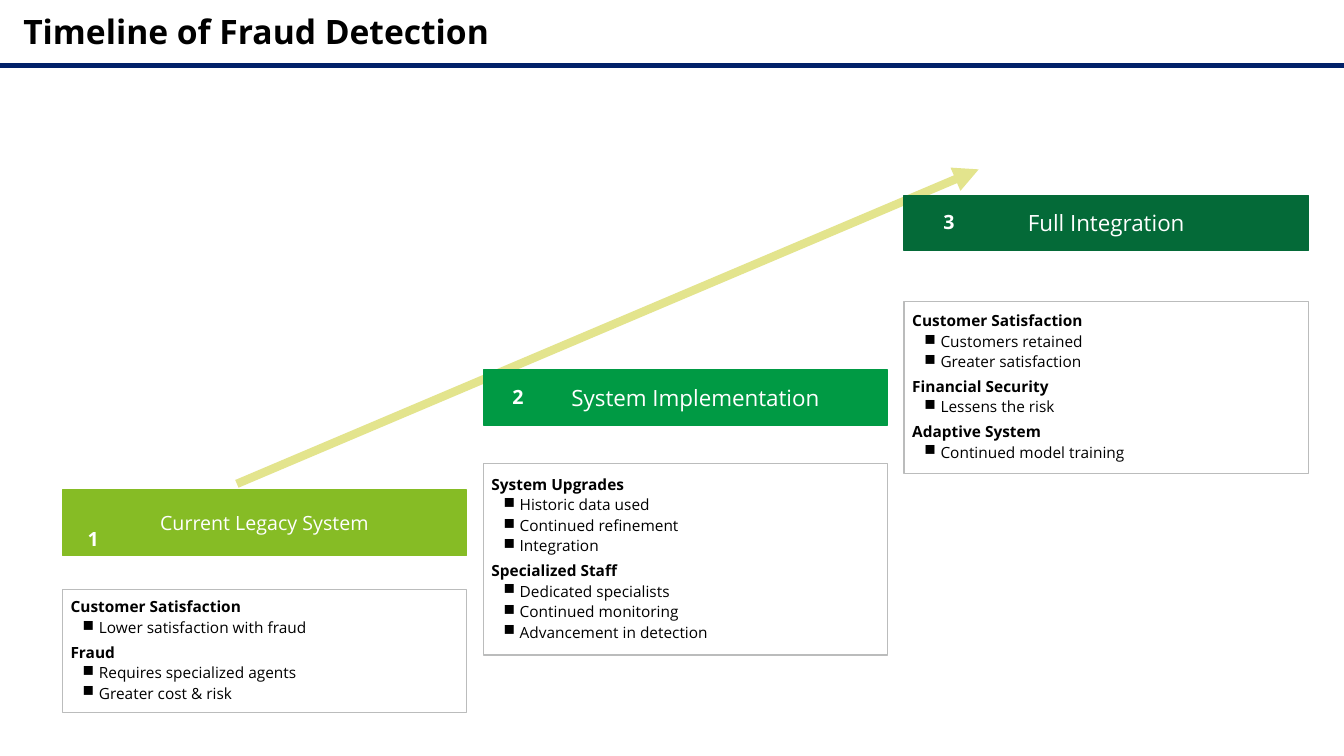
"""Build the fraud detection timeline slide."""
from dataclasses import dataclass

from lxml.etree import SubElement
from pptx import Presentation
from pptx.dml.color import RGBColor
from pptx.enum.shapes import MSO_CONNECTOR, MSO_SHAPE
from pptx.enum.text import MSO_ANCHOR, MSO_AUTO_SIZE, PP_ALIGN
from pptx.oxml.ns import qn
from pptx.shapes.autoshape import Shape
from pptx.shapes.connector import Connector
from pptx.slide import Slide
from pptx.text.text import TextFrame, _Paragraph
from pptx.util import Pt

FONT = "Open Sans"
BLACK = RGBColor(0x00, 0x00, 0x00)
WHITE = RGBColor(0xFF, 0xFF, 0xFF)
GREY = RGBColor(0xBB, 0xBC, 0xBC)
NAVY = RGBColor(0x01, 0x21, 0x69)
PALE_YELLOW = RGBColor(0xE3, 0xE4, 0x8D)
LIGHT_GREEN = RGBColor(0x86, 0xBC, 0x25)
GREEN = RGBColor(0x00, 0x9A, 0x44)
DARK_GREEN = RGBColor(0x04, 0x6A, 0x38)

SLIDE_WIDTH, SLIDE_HEIGHT = 960, 540
STAGE_LEFT, STAGE_STEP, STAGE_WIDTH = 44.6, 300.6, 288.7
NUMBER_WIDTH, NUMBER_HEIGHT = 43.9, 46.8


@dataclass(frozen=True)
class Topic:
    heading: str
    points: tuple[str, ...]


@dataclass(frozen=True)
class Stage:
    name: str
    color: RGBColor
    name_size: float
    name_inset: float
    header_top: float
    header_height: float
    number_offset: float
    number_top: float
    details_top: float
    details_height: float
    topics: tuple[Topic, ...]


STAGES = (
    Stage("Current Legacy System", LIGHT_GREEN, 14, 2.9, 349.9, 46.8, 0, 361.4, 421.2, 87.8, (
        Topic("Customer Satisfaction", ("Lower satisfaction with fraud",)),
        Topic("Fraud", ("Requires specialized agents", "Greater cost & risk")),
    )),
    Stage("System Implementation", GREEN, 16, 17.3, 264.2, 39.5, 2.9, 259.9, 331.2, 136.8, (
        Topic("System Upgrades", ("Historic data used", "Continued refinement", "Integration")),
        Topic("Specialized Staff",
              ("Dedicated specialists", "Continued monitoring", "Advancement in detection")),
    )),
    Stage("Full Integration", DARK_GREEN, 16, 2.9, 139.5, 39.5, 10.1, 134.6, 215.3, 123.1, (
        Topic("Customer Satisfaction", ("Customers retained", "Greater satisfaction")),
        Topic("Financial Security", ("Lessens the risk",)),
        Topic("Adaptive System", ("Continued model training",)),
    )),
)


def prepare_frame(text_frame: TextFrame, left: float, right: float, vertical: float,
                  anchor: MSO_ANCHOR = MSO_ANCHOR.MIDDLE) -> None:
    """Set wrapping, anchor and insets of a text frame."""
    text_frame.word_wrap = True
    text_frame.auto_size = MSO_AUTO_SIZE.NONE
    text_frame.vertical_anchor = anchor
    text_frame.margin_left, text_frame.margin_right = Pt(left), Pt(right)
    text_frame.margin_top = text_frame.margin_bottom = Pt(vertical)


def write(paragraph: _Paragraph, text: str, size: float, color: RGBColor,
          bold: bool = False, alignment: PP_ALIGN = PP_ALIGN.LEFT) -> None:
    """Fill a paragraph with text in one format."""
    paragraph.text = text
    paragraph.alignment = alignment
    for run in paragraph.runs:
        run.font.name = FONT
        run.font.size = Pt(size)
        run.font.bold = bold
        run.font.color.rgb = color


def add_bullet(paragraph: _Paragraph) -> None:
    """Give a paragraph a square bullet with a hanging indent."""
    properties = paragraph._p.get_or_add_pPr()
    properties.set("marL", str(Pt(20.2)))
    properties.set("indent", str(-Pt(11.5)))
    SubElement(properties, qn("a:buChar")).set("char", "■")


def add_box(slide: Slide, left: float, top: float, height: float, line_color: RGBColor) -> Shape:
    """Add an outlined, unfilled rectangle as wide as a stage."""
    box = slide.shapes.add_shape(
        MSO_SHAPE.RECTANGLE, Pt(left), Pt(top), Pt(STAGE_WIDTH), Pt(height))
    box.shadow.inherit = False
    box.fill.background()
    box.line.color.rgb = line_color
    box.line.width = Pt(1)
    return box


def add_line(slide: Slide, start: tuple[float, float], end: tuple[float, float],
             color: RGBColor, width: float) -> Connector:
    """Add a straight line without a shadow."""
    line = slide.shapes.add_connector(
        MSO_CONNECTOR.STRAIGHT, Pt(start[0]), Pt(start[1]), Pt(end[0]), Pt(end[1]))
    line.line.color.rgb = color
    line.line.width = Pt(width)
    SubElement(line._element.spPr, qn("a:effectLst"))
    return line


def add_details(slide: Slide, left: float, stage: Stage) -> None:
    """Add the box that lists the topics of a stage."""
    box = add_box(slide, left, stage.details_top, stage.details_height, GREY)
    text_frame = box.text_frame
    prepare_frame(text_frame, 5.8, 5.8, 2.9)
    lines = [(text, text == topic.heading) for topic in stage.topics
             for text in (topic.heading, *topic.points)]
    for index, (text, is_heading) in enumerate(lines):
        paragraph = text_frame.add_paragraph() if index else text_frame.paragraphs[0]
        write(paragraph, text, 11, BLACK, is_heading)
        paragraph.line_spacing = 0.88
        paragraph.space_before = Pt(6 if is_heading and index else 3)
        if not is_heading:
            add_bullet(paragraph)


def add_header(slide: Slide, left: float, number: int, stage: Stage) -> None:
    """Add the coloured header of a stage and its number."""
    header = add_box(slide, left, stage.header_top, stage.header_height, stage.color)
    header.fill.solid()
    header.fill.fore_color.rgb = stage.color
    prepare_frame(header.text_frame, stage.name_inset, 2.9, 2.9)
    write(header.text_frame.paragraphs[0], stage.name, stage.name_size, WHITE,
          alignment=PP_ALIGN.CENTER)
    label = slide.shapes.add_textbox(
        Pt(left + stage.number_offset), Pt(stage.number_top), Pt(NUMBER_WIDTH), Pt(NUMBER_HEIGHT))
    prepare_frame(label.text_frame, 2.9, 2.9, 2.9)
    write(label.text_frame.paragraphs[0], str(number), 14, WHITE, True, PP_ALIGN.CENTER)


def add_title(slide: Slide, text: str) -> None:
    """Place and format the slide title with the rule below it."""
    title = slide.shapes.title
    title.left, title.top, title.width, title.height = Pt(16.6), Pt(7.9), Pt(926), Pt(28.8)
    prepare_frame(title.text_frame, 0, 0, 0, MSO_ANCHOR.TOP)
    write(title.text_frame.paragraphs[0], text, 24, BLACK, True)
    add_line(slide, (0, 46.8), (SLIDE_WIDTH, 46.8), NAVY, 4)


def main() -> None:
    """Build and save the presentation."""
    presentation = Presentation()
    presentation.slide_width, presentation.slide_height = Pt(SLIDE_WIDTH), Pt(SLIDE_HEIGHT)
    slide = presentation.slides.add_slide(presentation.slide_layouts[5])
    add_title(slide, "Timeline of Fraud Detection")
    arrow = add_line(slide, (169.2, 345.6), (699.1, 121), PALE_YELLOW, 6)
    SubElement(arrow.line._get_or_add_ln(), qn("a:tailEnd")).set("type", "triangle")
    for index, stage in enumerate(STAGES):
        left = STAGE_LEFT + index * STAGE_STEP
        add_details(slide, left, stage)
        add_header(slide, left, index + 1, stage)
    presentation.save("out.pptx")


if __name__ == "__main__":
    main()
